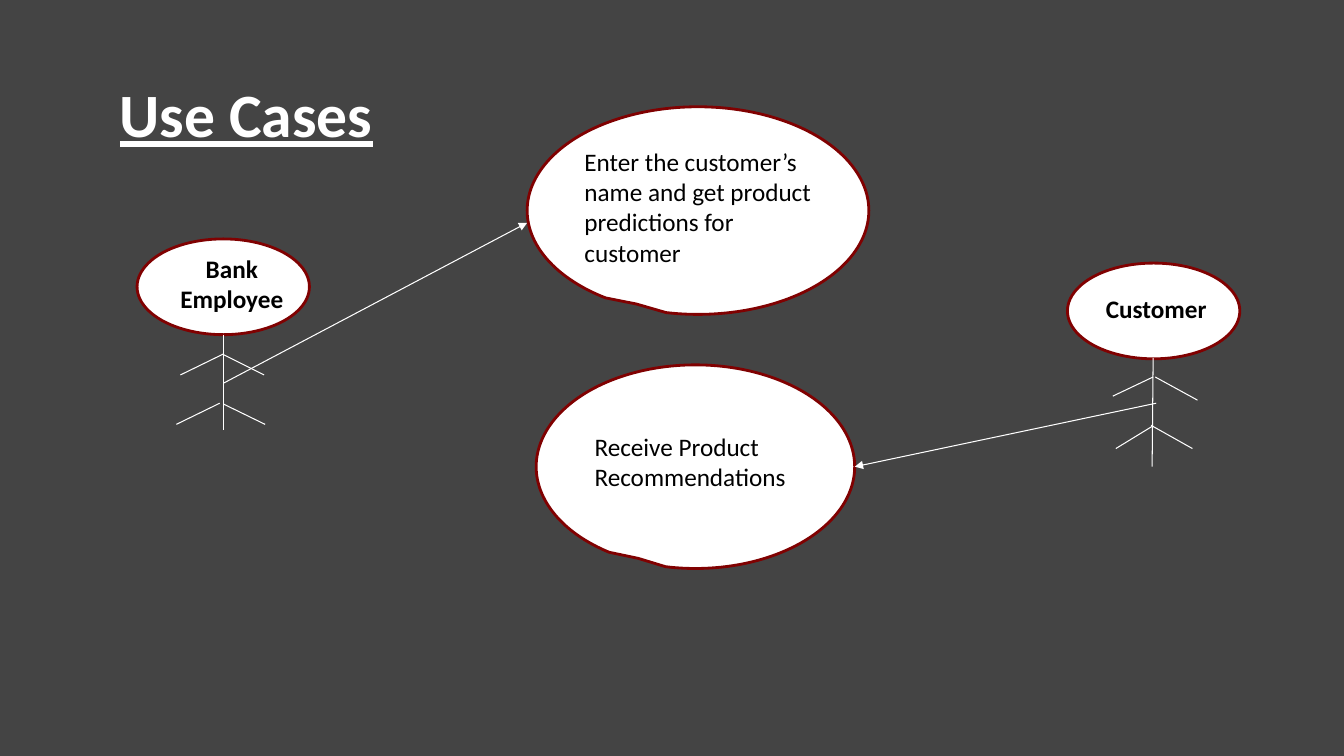
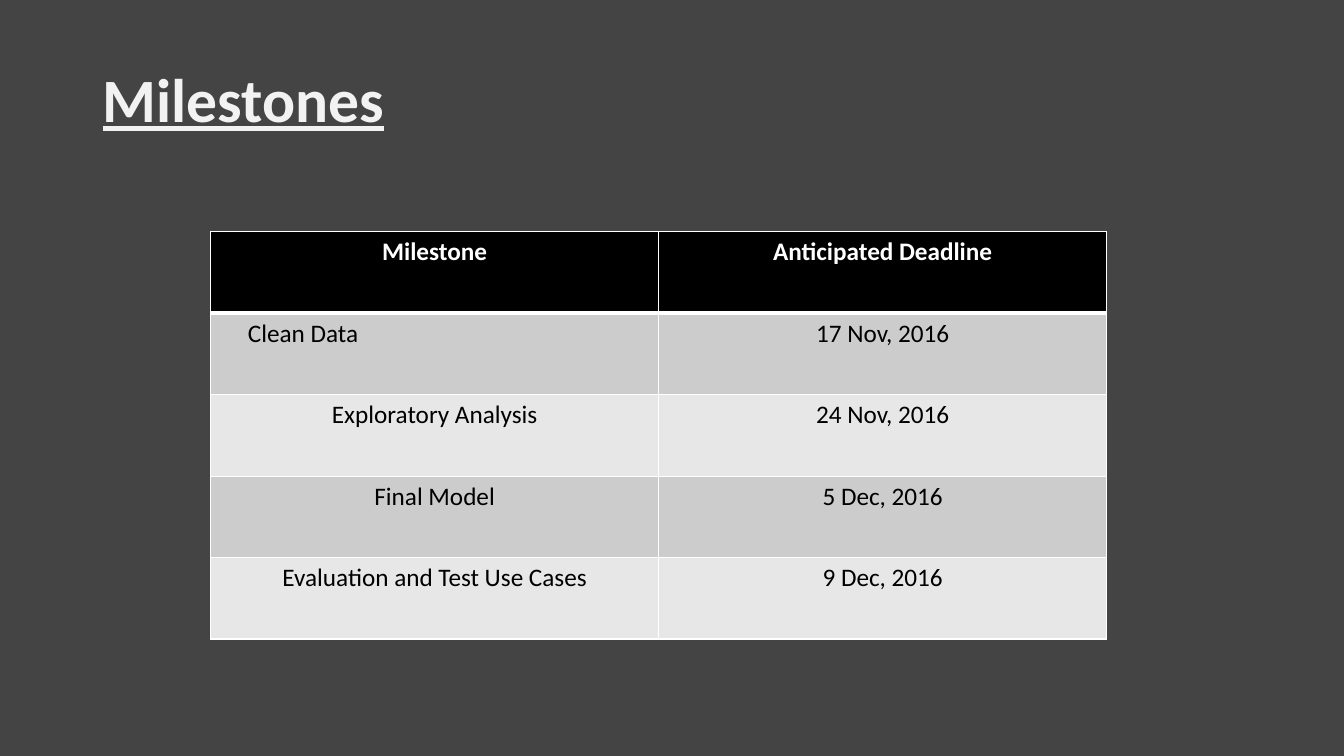
import dataclasses
import pptx
import pptx.util
import pptx.dml.color
import pptx.enum.shapes
import pptx.enum.text
import pptx.oxml
import pptx.oxml.ns

ALIGN = pptx.enum.text.PP_ALIGN
ANCHOR = pptx.enum.text.MSO_ANCHOR
SHAPES = pptx.enum.shapes.MSO_SHAPE
COLUMNS, ROWS = 80, 45


@dataclasses.dataclass(frozen=True)
class Theme:
    font: str = "Calibri"
    background: str = "444444"
    light: str = "FFFFFF"
    soft: str = "F2F2F2"
    dark: str = "000000"
    outline: str = "800101"
    bands: tuple = ("CCCCCC", "E7E7E7")
    title_size: int = 44
    body_size: int = 18
    outline_width: float = 2
    line_width: float = 0.75
    border_width: float = 1
    header_border_width: float = 3


THEME = Theme()

presentation = pptx.Presentation()
presentation.slide_width = pptx.util.Inches(13.33)
presentation.slide_height = pptx.util.Inches(7.5)


def color(value):
    return pptx.dml.color.RGBColor.from_string(value)


def across(columns):
    return int(presentation.slide_width * columns / COLUMNS)


def down(rows):
    return int(presentation.slide_height * rows / ROWS)


def place(box):
    left, top, width, height = box
    return across(left), down(top), across(width), down(height)


def inside(box, offset, size):
    return box[0] + offset[0], box[1] + offset[1], *size


def write(frame, lines, font_color, align=ALIGN.LEFT, spacing=1.0, **formats):
    font_values = {"name": THEME.font, "size": pptx.util.Pt(THEME.body_size), **formats}
    for index, line in enumerate(lines):
        paragraph = frame.add_paragraph() if index else frame.paragraphs[0]
        paragraph.alignment = align
        paragraph.line_spacing = spacing
        run = paragraph.add_run()
        run.text = line
        run.font.color.rgb = color(font_color)
        for name, value in font_values.items():
            setattr(run.font, name, value)


def add_text(slide, box, lines, font_color, anchor=ANCHOR.TOP, **formats):
    frame = slide.shapes.add_textbox(*place(box)).text_frame
    frame.word_wrap = True
    frame.vertical_anchor = anchor
    write(frame, lines, font_color, **formats)


def add_title(slide, box, text, font_color):
    add_text(slide, box, [text], font_color, ANCHOR.MIDDLE, spacing=0.9,
             size=pptx.util.Pt(THEME.title_size), bold=True, underline=True)


def add_outlined(slide, kind, box):
    shape = slide.shapes.add_shape(kind, *place(box))
    shape.shadow.inherit = False
    shape.fill.solid()
    shape.fill.fore_color.rgb = color(THEME.light)
    shape.line.color.rgb = color(THEME.outline)
    shape.line.width = pptx.util.Pt(THEME.outline_width)
    return shape


def add_line(slide, ends, arrow=False):
    x1, y1, x2, y2 = ends
    connector = slide.shapes.add_connector(
        pptx.enum.shapes.MSO_CONNECTOR.STRAIGHT, across(x1), down(y1), across(x2), down(y2))
    connector.line.color.rgb = color(THEME.light)
    connector.line.width = pptx.util.Pt(THEME.line_width)
    properties = connector._element.spPr
    properties.append(properties.makeelement(pptx.oxml.ns.qn("a:effectLst"), {}))
    if arrow:
        outline = connector.line._get_or_add_ln()
        outline.append(outline.makeelement(pptx.oxml.ns.qn("a:tailEnd"), {"type": "triangle"}))


def add_actor(slide, head, lines, label_offset, label_height, limbs):
    add_outlined(slide, SHAPES.OVAL, head)
    left, top = head[:2]
    for x1, y1, x2, y2 in limbs:
        add_line(slide, (left + x1, top + y1, left + x2, top + y2))
    add_text(slide, inside(head, label_offset, (9.24, label_height)), lines,
             THEME.dark, align=ALIGN.CENTER, bold=True)


def add_use_case(slide, box, text, text_offset, text_size, pointer):
    callout = add_outlined(slide, SHAPES.OVAL_CALLOUT, box)
    for index, value in enumerate(pointer):
        callout.adjustments[index] = value
    add_text(slide, inside(box, text_offset, text_size), [text], THEME.dark)


def set_borders(cell, widths):
    properties = cell._tc.get_or_add_tcPr()
    for side, width in widths.items():
        properties.append(pptx.oxml.parse_xml(
            f'<a:ln{side} {pptx.oxml.ns.nsdecls("a")} w="{pptx.util.Pt(width)}">'
            f'<a:solidFill><a:srgbClr val="{THEME.light}"/></a:solidFill></a:ln{side}>'))


def add_schedule(slide, box, rows, left_aligned, indent):
    table = slide.shapes.add_table(len(rows), len(rows[0]), *place(box)).table
    for row_index, row in enumerate(rows):
        header = row_index == 0
        widths = dict.fromkeys("LRTB", THEME.border_width)
        if row_index < 2:
            widths["B" if header else "T"] = THEME.header_border_width
        for column_index, text in enumerate(row):
            cell = table.cell(row_index, column_index)
            set_borders(cell, widths)
            cell.fill.solid()
            cell.fill.fore_color.rgb = color(
                THEME.dark if header else THEME.bands[(row_index - 1) % len(THEME.bands)])
            align = ALIGN.CENTER
            if text == left_aligned:
                align = ALIGN.LEFT
                cell.margin_left = across(indent)
            write(cell.text_frame, [text], THEME.light if header else THEME.dark,
                  align=align, bold=header)


def build_use_cases(slide):
    add_title(slide, (6.54, 3.42, 69, 7.14), "Use Cases", THEME.light)
    add_actor(slide, (8.16, 14.22, 10.26, 5.7), ["Bank", "Employee"], (1.02, 0.54), 4.26, [
        (5.16, 5.7, 5.16, 11.4),
        (2.58, 8.1, 5.16, 6.84), (5.16, 6.9, 7.56, 8.1),
        (2.34, 11.04, 4.92, 9.78), (5.16, 9.84, 7.62, 11.04)])
    add_use_case(slide, (31.38, 6.36, 20.34, 12.36),
                 "Enter the customer’s name and get product predictions for customer",
                 (2.82, 2.04), (15.24, 9.72), (-0.18, 0.45))
    add_use_case(slide, (31.92, 21.72, 18.96, 12.12), "Receive Product Recommendations",
                 (2.88, 3.66), (20.04, 6.06), (-0.18, 0.45))
    add_line(slide, (13.32, 22.8, 31.38, 13.26), arrow=True)
    add_line(slide, (68.82, 24, 50.88, 27.78), arrow=True)
    add_actor(slide, (63.54, 15.66, 10.26, 5.7), ["Customer"], (0.66, 1.5), 2.4, [
        (5.1, 5.64, 5.04, 12.12),
        (2.7, 7.92, 5.1, 6.78), (5.22, 6.78, 7.74, 8.16),
        (2.88, 11.04, 5.04, 9.72), (4.98, 9.66, 7.44, 11.04)])


def build_milestones(slide):
    add_schedule(slide, (12.54, 13.8, 53.34, 24.24), [
        ("Milestone", "Anticipated Deadline"),
        ("Clean Data", "17 Nov, 2016"),
        ("Exploratory Analysis", "24 Nov, 2016"),
        ("Final Model", "5 Dec, 2016"),
        ("Evaluation and Test Use Cases", "9 Dec, 2016")],
        left_aligned="Clean Data", indent=2.22)
    add_title(slide, (5.52, 1.74, 43.38, 8.7), "Milestones", THEME.soft)


background = presentation.slide_master.background.fill
background.solid()
background.fore_color.rgb = color(THEME.background)
for build in (build_use_cases, build_milestones):
    build(presentation.slides.add_slide(presentation.slide_layouts[6]))
presentation.save("out.pptx")
